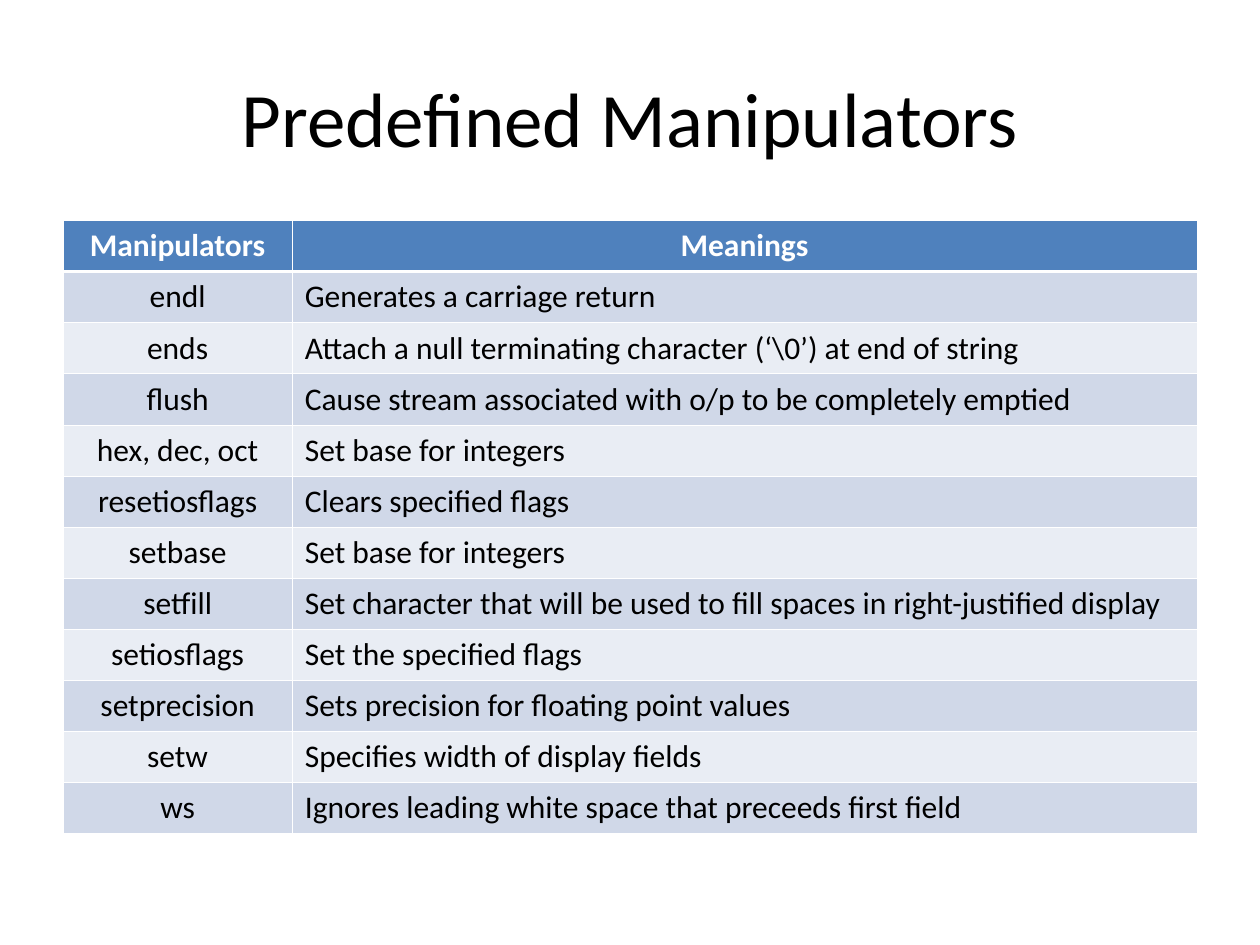
from typing import NamedTuple

from lxml.etree import SubElement
from pptx import Presentation
from pptx.dml.color import RGBColor
from pptx.enum.text import MSO_ANCHOR, PP_ALIGN
from pptx.oxml.ns import qn
from pptx.table import _Cell
from pptx.text.text import TextFrame
from pptx.util import Inches, Pt


class Style(NamedTuple):
    size: int
    color: str
    bold: bool = False
    align: PP_ALIGN = PP_ALIGN.CENTER


class Entry(NamedTuple):
    name: str
    meaning: str


FONT = "Calibri"
BLACK, WHITE = "000000", "FFFFFF"
HEAD_FILL = "4F81BD"
BANDS = ("E9EDF4", "D0D8E8")
THIN, THICK = 0.45, 1.47

TITLE = Style(44, BLACK)
HEAD = Style(18, WHITE, True)
NAME = Style(18, BLACK)
MEANING = Style(18, BLACK, align=PP_ALIGN.LEFT)

ENTRIES = [
    Entry("Manipulators", "Meanings"),
    Entry("endl", "Generates a carriage return"),
    Entry("ends", r"Attach a null terminating character (‘\0’) at end of string"),
    Entry("flush", "Cause stream associated with o/p to be completely emptied"),
    Entry("hex, dec, oct", "Set base for integers"),
    Entry("resetiosflags", "Clears specified flags"),
    Entry("setbase", "Set base for integers"),
    Entry("setfill", "Set character that will be used to fill spaces in right-justified display"),
    Entry("setiosflags", "Set the specified flags"),
    Entry("setprecision", "Sets precision for floating point values"),
    Entry("setw", "Specifies width of display fields"),
    Entry("ws", "Ignores leading white space that preceeds first field"),
]


def color(code: str) -> RGBColor:
    return RGBColor.from_string(code)


def write(frame: TextFrame, text: str, style: Style) -> None:
    para = frame.paragraphs[0]
    para.alignment = style.align
    run = para.add_run()
    run.text = text
    run.font.name = FONT
    run.font.size = Pt(style.size)
    run.font.bold = style.bold
    run.font.color.rgb = color(style.color)


def border(cell: _Cell, row: int) -> None:
    widths = {
        "a:lnL": THIN,
        "a:lnR": THIN,
        "a:lnT": THICK if row == 1 else THIN,
        "a:lnB": THICK if row == 0 else THIN,
    }
    props = cell._tc.get_or_add_tcPr()
    for tag, width in widths.items():
        line = SubElement(props, qn(tag), w=str(Pt(width)))
        fill = SubElement(line, qn("a:solidFill"))
        SubElement(fill, qn("a:srgbClr"), val=WHITE)


def paint(cell: _Cell, row: int, text: str, style: Style) -> None:
    border(cell, row)
    cell.fill.solid()
    cell.fill.fore_color.rgb = color(BANDS[row % 2] if row else HEAD_FILL)
    write(cell.text_frame, text, style)


def main() -> None:
    deck = Presentation()
    deck.slide_width, deck.slide_height = Inches(10), Inches(7.5)
    slide = deck.slides.add_slide(deck.slide_layouts[6])

    title = slide.shapes.add_textbox(Inches(0.5), Inches(0.3), Inches(9), Inches(1.25))
    title.text_frame.word_wrap = True
    title.text_frame.vertical_anchor = MSO_ANCHOR.MIDDLE
    write(title.text_frame, "Predefined Manipulators", TITLE)

    table = slide.shapes.add_table(
        len(ENTRIES), 2, Inches(0.5), Inches(1.75), Inches(9), Inches(4.87)
    ).table
    table.columns[0].width = Inches(1.82)
    table.columns[1].width = Inches(7.18)
    for row, entry in enumerate(ENTRIES):
        styles = (NAME, MEANING) if row else (HEAD, HEAD)
        for col, (text, style) in enumerate(zip(entry, styles)):
            paint(table.cell(row, col), row, text, style)

    deck.save("out.pptx")


if __name__ == "__main__":
    main()
